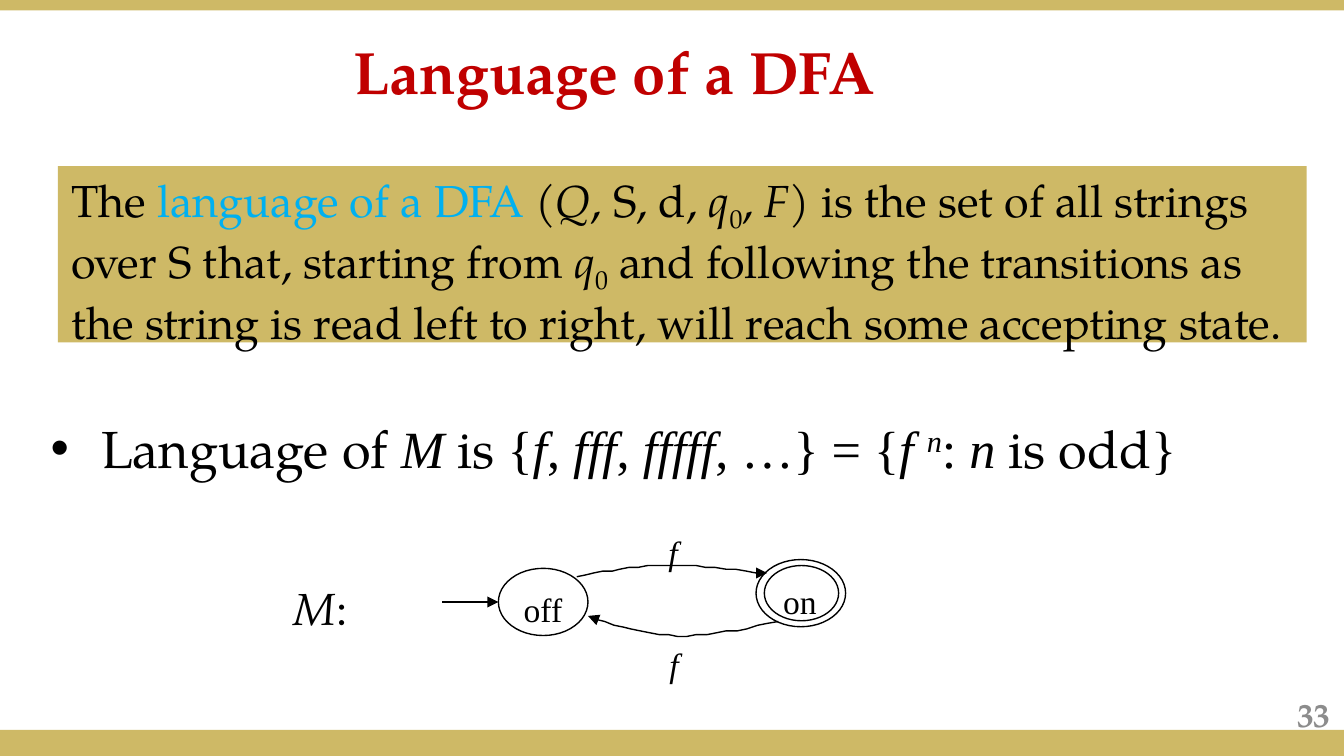
from pptx import Presentation
from pptx.dml.color import RGBColor
from pptx.enum import shapes as es, text as et
from pptx.oxml.ns import qn
from pptx.util import Pt
from lxml import etree

SERIF, BOOK = "Times New Roman", "TeX Gyre Pagella"
GOLD, BLACK, RED, BLUE, GREY = "CEB966", "000000", "C00000", "00B0F0", "8C8C8C"

# Runs are (text, marks): i italic, b bold, t Times, c blue, - subscript, + superscript
TITLE = [("Language of a DFA", "b")]
RULE = [
    ("The ", ""), ("language of a DFA ", "c"), ("(", ""), ("Q", "i"),
    (", S, d, ", ""), ("q", "i"), ("0", "-"), (", ", ""), ("F", "i"),
    (") is the set of all strings over S that, starting from ", ""),
    ("q", "i"), ("0", "-"),
    (" and following the transitions as the string is read left to right, "
     "will reach some accepting state.", ""),
]
CLAIM = [
    ("Language of ", ""), ("M", "it"), (" is ", ""), ("{", "t"), ("f", "it"),
    (", ", "t"), ("fff", "it"), (", ", "t"), ("fffff", "it"),
    (", …} = {", "t"), ("f ", "it"), ("n", "it+"), (": ", "t"),
    ("n ", "it"), ("is odd", ""), ("}", "t"),
]
# left, top, width, height in points
BANDS = [(0, 0, 720, 5.6), (0, 391, 720, 14)]
RINGS = [(267, 304.5, 48, 36), (405, 299.8, 48, 36), (409.5, 303, 39.8, 29.6)]
LABELS = [
    ([("off", "t")], (273.5, 311.8, 35.5, 29), 18),
    ([("on", "t")], (412.5, 307.5, 33, 29), 18),
    ([("f", "it")], (351, 281.5, 19, 29), 18),
    ([("f", "it")], (351.5, 341.5, 19, 29), 18),
    ([("M", "i"), (":", "")], (150.3, 307.5, 43.5, 36), 24),
]
START = (237, 322.5, 267, 322.5)
# arrow end, then Bezier points: a start and three more for each curve
ARCS = [
    ("tailEnd", [(309, 308.9), (324.5, 306), (340, 303), (357, 303),
                 (374, 303), (392.5, 305), (411, 307.4)]),
    ("headEnd", [(314.8, 330.5), (330.5, 335.5), (346, 340.3), (363, 340.7),
                 (380, 341), (398.5, 337), (417, 333.2)]),
]
STEPS = 10


def hue(code):
    return RGBColor.from_string(code)


def ink(shape, arrow=None):
    """Draw a thin black outline, with an arrowhead if an end is named."""
    shape.line.color.rgb = hue(BLACK)
    shape.line.width = Pt(0.75)
    if arrow:
        etree.SubElement(shape.line._get_or_add_ln(), qn("a:" + arrow), type="triangle")


def form(kind, place, fill=None):
    shape = slide.shapes.add_shape(kind, *map(Pt, place))
    shape.shadow.inherit = False
    if fill:
        shape.fill.solid()
        shape.fill.fore_color.rgb = hue(fill)
        shape.line.fill.background()
    else:
        shape.fill.background()
        ink(shape)
    return shape


def write(shape, runs, size, color=BLACK, align=et.PP_ALIGN.LEFT,
          anchor=et.MSO_ANCHOR.TOP, wrap=True):
    frame = shape.text_frame
    frame.word_wrap = wrap
    frame.vertical_anchor = anchor
    para = frame.paragraphs[0]
    para.alignment = align
    for words, marks in runs:
        run = para.add_run()
        run.text = words
        font = run.font
        font.size = Pt(size)
        font.name = SERIF if "t" in marks else BOOK
        font.italic = "i" in marks
        font.bold = "b" in marks
        font.color.rgb = hue(BLUE if "c" in marks else color)
        for mark, shift in (("-", "-25000"), ("+", "30000")):
            if mark in marks:
                run._r.get_or_add_rPr().set("baseline", shift)
    return para


def note(place, runs, size, **style):
    box = slide.shapes.add_textbox(*map(Pt, place))
    return write(box, runs, size, **style)


def bend(points):
    """List points along a chain of cubic Bezier curves."""
    trail = [points[0]]
    for k in range(0, len(points) - 1, 3):
        for n in range(1, STEPS + 1):
            t = n / STEPS
            s = 1 - t
            parts = (s**3, 3 * s * s * t, 3 * s * t * t, t**3)
            trail.append(tuple(sum(w * p[axis] for w, p in zip(parts, points[k:k + 4]))
                               for axis in (0, 1)))
    return trail


deck = Presentation()
deck.slide_width, deck.slide_height = Pt(720), Pt(405)
slide = deck.slides.add_slide(deck.slide_layouts[6])

for band in BANDS:
    form(es.MSO_SHAPE.RECTANGLE, band, GOLD)

claim = note((20, 219.5, 686, 57), CLAIM, 28)
props = claim._p.get_or_add_pPr()
props.set("marL", str(Pt(27)))
props.set("indent", str(-Pt(27)))
etree.SubElement(props, qn("a:buFont"), typeface="Arial")
etree.SubElement(props, qn("a:buChar"), char="•")

note((0, 15, 658, 39), TITLE, 32, color=RED, align=et.PP_ALIGN.CENTER)
write(form(es.MSO_SHAPE.RECTANGLE, (31, 89, 669, 94.5), GOLD), RULE, 24)

for ring in RINGS:
    form(es.MSO_SHAPE.OVAL, ring)

for arrow, points in ARCS:
    first, *rest = bend(points)
    path = slide.shapes.build_freeform(*first, scale=Pt(1))
    path.add_line_segments(rest, close=False)
    arc = path.convert_to_shape()
    arc.shadow.inherit = False
    arc.fill.background()
    ink(arc, arrow)

start = slide.shapes.add_connector(es.MSO_CONNECTOR.STRAIGHT, *map(Pt, START))
ink(start, "tailEnd")
etree.SubElement(start._element.spPr, qn("a:effectLst"))

for runs, place, size in LABELS:
    note(place, runs, size, wrap=False)

note((552, 372, 168, 21.5), [("33", "b")], 18, color=GREY,
     align=et.PP_ALIGN.RIGHT, anchor=et.MSO_ANCHOR.MIDDLE)

deck.save("out.pptx")
